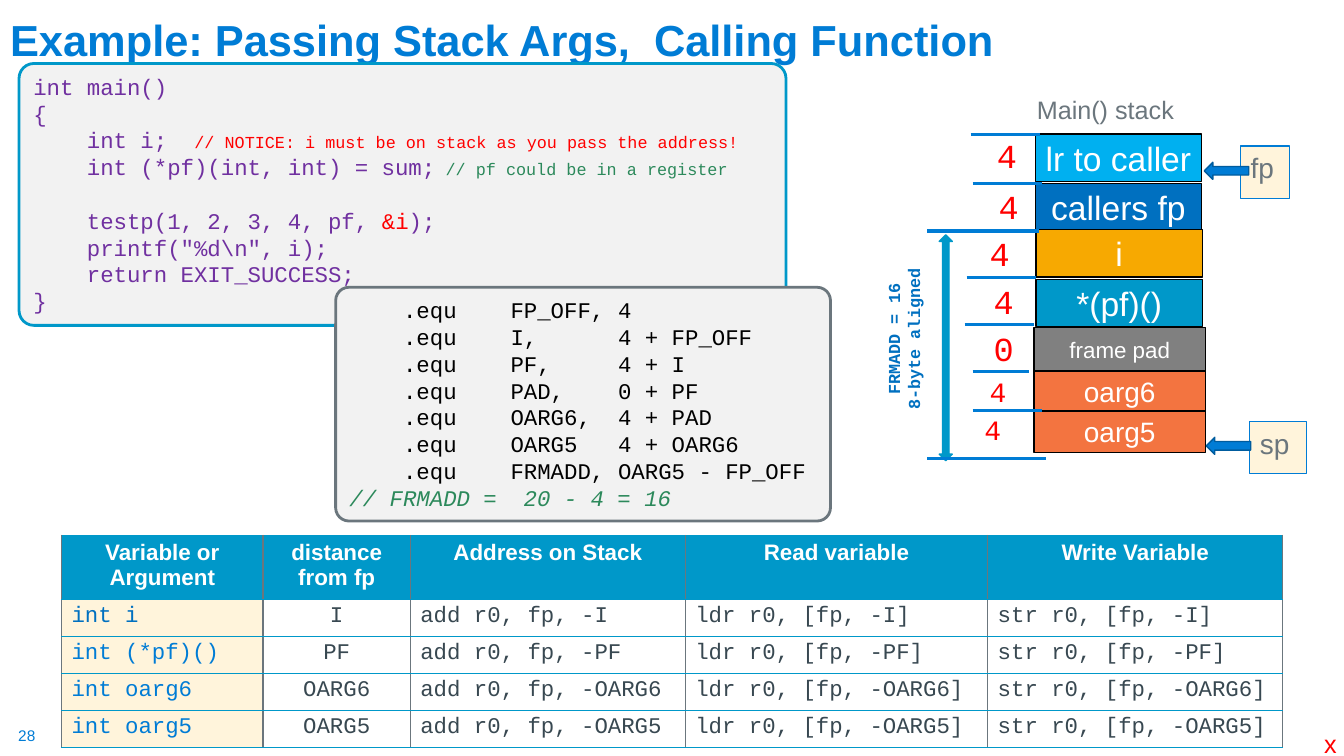
from lxml import etree
from pptx import Presentation
from pptx.dml.color import RGBColor
from pptx.enum.shapes import MSO_CONNECTOR, MSO_SHAPE
from pptx.enum.text import MSO_ANCHOR, PP_ALIGN
from pptx.oxml.ns import qn
from pptx.util import Cm, Pt

LEFT, MID = PP_ALIGN.LEFT, PP_ALIGN.CENTER
TOP, CENTER, BOTTOM = MSO_ANCHOR.TOP, MSO_ANCHOR.MIDDLE, MSO_ANCHOR.BOTTOM
RECT, ROUND = MSO_SHAPE.RECTANGLE, MSO_SHAPE.ROUNDED_RECTANGLE
ARROW, SPAN = MSO_SHAPE.LEFT_ARROW, MSO_SHAPE.UP_DOWN_ARROW
STRAIGHT = MSO_CONNECTOR.STRAIGHT


class Theme:
    sans, mono = "Arial", "Courier New"
    blue, deep, navy = "007CD5", "0070C0", "005C9E"
    teal, sky, gold = "0098C9", "00B0F0", "F7A901"
    coral, gray, slate = "F37440", "808080", "6B767D"
    ink, black, white = "384851", "000000", "FFFFFF"
    cream, pale = "FFF4DB", "F2F2F2"
    red, green, purple = "FF0000", "2C895B", "7030A0"
    title, large, label, head = 31, 24, 20, 18
    code, note, page = 16, 12, 11


def write(frame, lines, size=Theme.code, color=Theme.black, font=Theme.sans,
          bold=False, align=LEFT, anchor=TOP, tabs=(), gaps={}, pitch=None):
    frame.word_wrap = True
    frame.vertical_anchor = anchor
    for row, line in enumerate(lines):
        para = frame.paragraphs[0] if row == 0 else frame.add_paragraph()
        if tabs:
            stops = etree.SubElement(para._p.get_or_add_pPr(), qn("a:tabLst"))
            for stop in tabs:
                etree.SubElement(stops, qn("a:tab"), pos=str(Cm(stop)), algn="l")
        para.alignment = align
        para.line_spacing = pitch
        if row in gaps:
            para.space_before = Pt(gaps[row])
        for text, tint, points in [(line, color, size)] if isinstance(line, str) else line:
            run = para.add_run()
            run.text = text
            run.font.name = font
            run.font.size = Pt(points)
            run.font.bold = bold
            run.font.color.rgb = RGBColor.from_string(tint)


def draw(kind, at, fill, edge, width=1):
    shape = slide.shapes.add_shape(kind, *map(Cm, at))
    shape.shadow.inherit = False
    shape.fill.solid()
    shape.fill.fore_color.rgb = RGBColor.from_string(fill)
    shape.line.color.rgb = RGBColor.from_string(edge)
    shape.line.width = Pt(width)
    return shape


deck = Presentation()
deck.slide_width, deck.slide_height = Cm(33.87), Cm(19.05)
slide = deck.slides.add_slide(deck.slide_layouts[5])
shapes = slide.shapes

title = shapes.title
title.left, title.top, title.width, title.height = map(Cm, (0, 0.05, 29.21, 1.73))
write(title.text_frame, ["Example: Passing Stack Args,  Calling Function"],
      size=Theme.title, color=Theme.blue, bold=True, anchor=BOTTOM, pitch=0.9)

main = [
    "int main()",
    "{",
    [("    int i;\t", Theme.purple, Theme.code),
     ("// NOTICE: i must be on stack as you pass the address!", Theme.red, Theme.note)],
    [("    int (*pf)(int, int) = sum;", Theme.purple, Theme.code),
     (" // pf could be in a register", Theme.green, Theme.note)],
    [("    testp(1, 2, 3, 4, pf, ", Theme.purple, Theme.code),
     ("&i", Theme.red, Theme.code),
     (");", Theme.purple, Theme.code)],
    r'    printf("%d\n", i);',
    "    return EXIT_SUCCESS;",
    "}",
]
card = draw(ROUND, (0.48, 1.6, 19.33, 6.6), Theme.pale, Theme.teal, 2)
card.adjustments[0] = 0.057
write(card.text_frame, main, color=Theme.purple, font=Theme.mono,
      tabs=[4.06], gaps={4: 19})

equs = [("FP_OFF,", "4"), ("I,", "4 + FP_OFF"), ("PF,", "4 + I"),
        ("PAD,", "0 + PF"), ("OARG6,", "4 + PAD"), ("OARG5", "4 + OARG6"),
        ("FRMADD,", "OARG5 - FP_OFF")]
code = [f"    .equ\t{name}\t{value}" for name, value in equs]
code.append([("// FRMADD =  20 - 4 = 16", Theme.green, Theme.code)])
card = draw(ROUND, (8.46, 7.24, 12.47, 5.89), Theme.pale, Theme.slate, 2)
card.adjustments[0] = 0.057
write(card.text_frame, code, font=Theme.mono, tabs=[4.06, 6.77])
card.text_frame.paragraphs[-1].runs[0].font.italic = True

stack = [
    ("lr to caller", Theme.sky, Theme.large, (26.09, 3.38, 4.19, 1.19)),
    ("callers fp", Theme.deep, Theme.large, (26.09, 4.62, 4.19, 1.19)),
    ("i", Theme.gold, Theme.large, (26.11, 5.79, 4.19, 1.19)),
    ("*(pf)()", Theme.teal, Theme.large, (26.11, 7.04, 4.19, 1.19)),
    ("frame pad", Theme.gray, Theme.code, (26.06, 8.26, 4.32, 1.12)),
    ("oarg6", Theme.coral, Theme.label, (26.06, 9.35, 4.32, 1.04)),
    ("oarg5", Theme.coral, Theme.label, (26.06, 10.36, 4.32, 1.04)),
]
for name, fill, size, at in stack:
    slot = draw(RECT, at, fill, Theme.black)
    write(slot.text_frame, [name], size=size, color=Theme.white,
          align=MID, anchor=CENTER)

for name, arrow, at in [("fp", (30.35, 4.09), (31.27, 3.68, 1.24, 1.32)),
                        ("sp", (30.4, 11.02), (31.5, 10.62, 1.42, 1.32))]:
    tag = draw(RECT, at, Theme.cream, Theme.blue, 0.75)
    write(tag.text_frame, [name], size=Theme.label, color=Theme.slate)
    draw(ARROW, (*arrow, 1.12, 0.43), Theme.blue, Theme.navy)

draw(SPAN, (23.67, 5.92, 0.33, 5.69), Theme.teal, Theme.teal)

for start, end, y in [(24.46, 26.21, 3.38), (24.51, 26.26, 4.62),
                      (23.37, 26.19, 5.82), (24.36, 26.11, 6.99),
                      (24.31, 26.06, 8.18), (24.51, 25.93, 9.37),
                      (24.51, 26.26, 10.34), (23.37, 26.37, 11.56)]:
    rule = shapes.add_connector(STRAIGHT, Cm(start), Cm(y), Cm(end), Cm(y))
    rule.line.color.rgb = RGBColor.from_string(Theme.blue)
    rule.line.width = Pt(2.25)
    etree.SubElement(rule._element.spPr, qn("a:effectLst"))

bytes_at = [("4", 24.87, 3.28, Theme.large), ("4", 24.92, 4.55, Theme.large),
            ("4", 24.69, 5.74, Theme.large), ("4", 24.79, 6.96, Theme.large),
            ("0", 24.79, 8.13, Theme.large), ("4", 24.69, 9.3, Theme.label),
            ("4", 24.56, 10.26, Theme.label)]
for count, x, y, size in bytes_at:
    box = shapes.add_textbox(Cm(x), Cm(y), Cm(1.12), Cm(1.52))
    write(box.text_frame, [count], size=size, color=Theme.red, font=Theme.mono)

box = shapes.add_textbox(Cm(19.71), Cm(7.82), Cm(6.3), Cm(1.45))
box.rotation = 270
write(box.text_frame, ["FRMADD = 16", "8-byte aligned"], size=Theme.note,
      color=Theme.deep, font=Theme.mono, bold=True, align=MID)

for text, size, color, at in [
        ("Main() stack", Theme.head, Theme.slate, (25.88, 2.24, 4.6, 1.02)),
        ("x", Theme.head, Theme.red, (33.12, 18.24, 0.84, 1.02))]:
    box = shapes.add_textbox(*map(Cm, at))
    write(box.text_frame, [text], size=size, color=color)

box = shapes.add_textbox(Cm(0.46), Cm(18.31), Cm(0.48), Cm(0.48))
page = box.text_frame
page.margin_left = page.margin_right = page.margin_top = page.margin_bottom = 0
write(page, ["28"], size=Theme.page, color=Theme.blue)

rows = [["Variable or Argument", "distance from fp", "Address on Stack",
         "Read variable", "Write Variable"]]
for name, off in [("int i", "I"), ("int (*pf)()", "PF"),
                  ("int oarg6", "OARG6"), ("int oarg5", "OARG5")]:
    rows.append([name, off, f"add r0, fp, -{off}",
                 f"ldr r0, [fp, -{off}]", f"str r0, [fp, -{off}]"])
wide, high = [5.08, 3.71, 6.93, 7.62, 7.44], [1.61] + [0.93] * 4
table = shapes.add_table(len(rows), len(wide), Cm(1.55), Cm(13.49),
                         Cm(sum(wide)), Cm(sum(high))).table
table.horz_banding = False
for col, width in zip(table.columns, wide):
    col.width = Cm(width)
for r, texts in enumerate(rows):
    table.rows[r].height = Cm(high[r])
    for c, text in enumerate(texts):
        cell = table.cell(r, c)
        top = r == 0
        fill = Theme.teal if top else Theme.cream if c == 0 else Theme.white
        ink = Theme.white if top else Theme.blue if c == 0 else Theme.ink
        if (r, c) == (1, 0):
            ink = Theme.deep
        write(cell.text_frame, [text], color=ink, bold=top,
              font=Theme.sans if top else Theme.mono,
              align=MID if top or c == 1 else LEFT)
        props = cell._tc.get_or_add_tcPr()
        for side, edge in [("L", Theme.slate), ("R", Theme.slate),
                           ("T", Theme.teal), ("B", Theme.teal)]:
            line = etree.SubElement(props, qn(f"a:ln{side}"), w=str(Pt(1)))
            paint = etree.SubElement(line, qn("a:solidFill"))
            etree.SubElement(paint, qn("a:srgbClr"), val=edge)
        cell.fill.solid()
        cell.fill.fore_color.rgb = RGBColor.from_string(fill)

deck.save("out.pptx")
